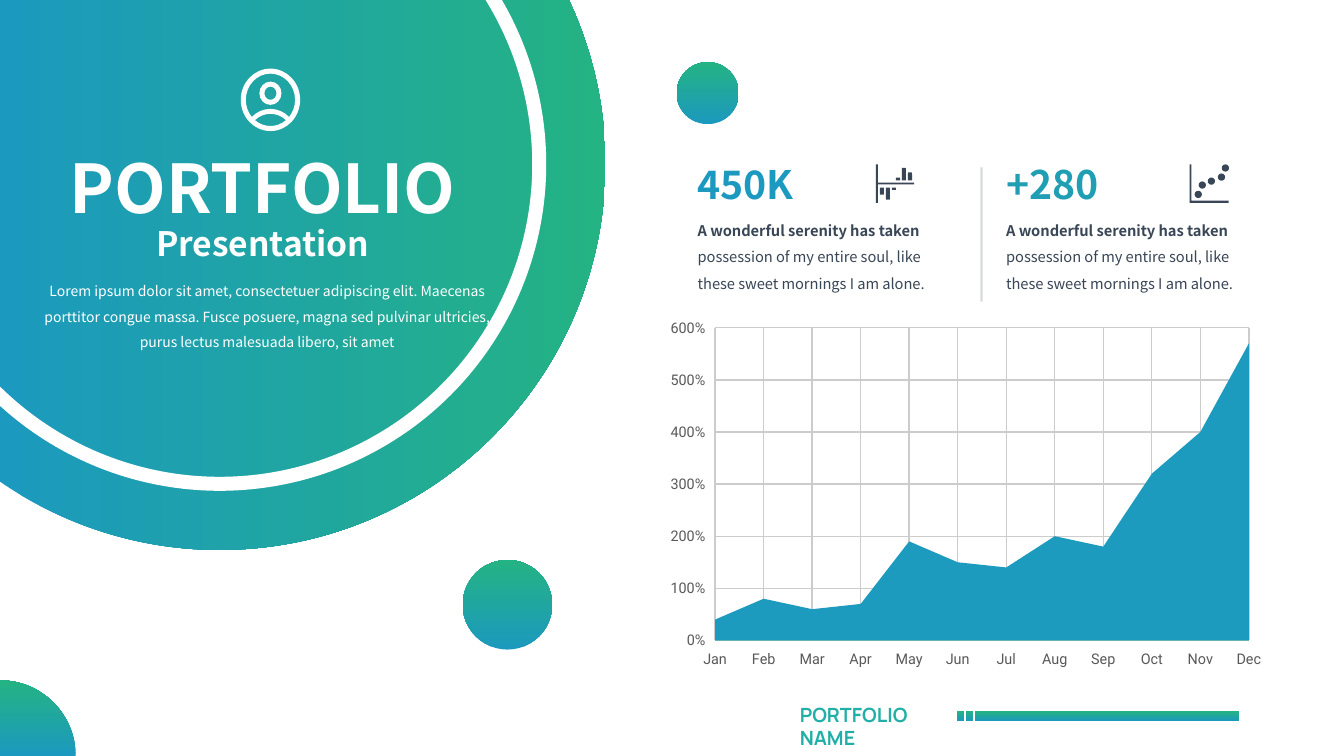
from math import ceil, cos, floor, radians, sin, tan

from lxml import etree
from pptx import Presentation
from pptx.chart.data import CategoryChartData
from pptx.dml.color import RGBColor
from pptx.enum import chart as ch, shapes as sh, text as tx
from pptx.oxml import parse_xml
from pptx.oxml.ns import nsdecls, qn
from pptx.util import Pt

SANS, BRAND_FONT, AXIS_FONT = "Noto Sans CJK KR", "Manrope", "Roboto"
WHITE, SLATE, BLUE, GREEN = "FFFFFF", "394656", "1C99BE", "24B383"
SHAPE = sh.MSO_SHAPE
UPWARD, RIGHTWARD = 90, 0
MONTHS = "Jan Feb Mar Apr May Jun Jul Aug Sep Oct Nov Dec".split()
SERIES = [
    ("Series 1", "1C9BBE", (40, 80, 60, 70, 190, 150, 140, 200, 180, 320, 400, 570)),
    ("Series 2", "24B38A", (20, 40, 20, 10, 20, 80, 60, 60, 90, 70, 180, 230)),
]


def colour(hex_value):
    return RGBColor.from_string(hex_value)


def paint(shape, fill=None, angle=None):
    """Fill with one colour, or with the blue-green gradient at an angle."""
    shape.shadow.inherit = False
    shape.line.fill.background()
    if fill:
        shape.fill.solid()
        shape.fill.fore_color.rgb = colour(fill)
    else:
        shape.fill.gradient()
        shape.fill.gradient_angle = angle
        for stop, hue in zip(shape.fill.gradient_stops, (BLUE, GREEN)):
            stop.color.rgb = colour(hue)


def add_preset(shapes, kind, box, **paint_values):
    preset = shapes.add_shape(kind, *map(Pt, box))
    paint(preset, **paint_values)
    return preset


def corners(*points):
    return [[point] for point in points]


def arc(cx, cy, rx, ry, start=0, end=360):
    """Start point, then one three-point curve for each quadrant crossed."""
    low, high = sorted((start, end))
    quadrants = [90 * q for q in range(floor(low / 90) + 1, ceil(high / 90))]
    stops = sorted([low, *quadrants, high], reverse=start > end)

    def point(angle, pull=0):
        a = radians(angle)
        return cx + rx * (cos(a) - pull * sin(a)), cy + ry * (sin(a) + pull * cos(a))

    segments = [[point(start)]]
    for a, b in zip(stops, stops[1:]):
        pull = 4 / 3 * tan(radians(b - a) / 4)
        segments.append([point(a, pull), point(b, -pull), point(b)])
    return segments


def add_outline(shapes, left, top, contours, **paint_values):
    """Draw contours of segments: one point is a line, three are a curve."""
    def place(point):
        return Pt(left + point[0]), Pt(top + point[1])

    builder = shapes.build_freeform(*place(contours[0][0][0]))
    for i, contour in enumerate(contours):
        if i:
            builder.move_to(*place(contour[0][0]))
        builder.add_line_segments([place(p) for part in contour[1:] for p in part], close=True)
    outline = builder.convert_to_shape()
    lines = iter(outline._element.findall(".//" + qn("a:lnTo")))
    for part in (part for contour in contours for part in contour[1:]):
        steps = [next(lines) for _ in part]
        if len(steps) == 3:
            steps[0].tag = qn("a:cubicBezTo")
            for step in steps[1:]:
                steps[0].append(step[0])
                step.getparent().remove(step)
    paint(outline, **paint_values)


def set_text(holder, box, runs, font, inset=(7.2, 3.6), anchor=tx.MSO_ANCHOR.TOP,
             align=tx.PP_ALIGN.LEFT, spacing=1.0):
    """Place a text holder and write one paragraph of (words, bold) runs."""
    holder.left, holder.top, holder.width, holder.height = map(Pt, box)
    frame = holder.text_frame
    across, down = map(Pt, inset)
    frame_format = dict(word_wrap=True, auto_size=tx.MSO_AUTO_SIZE.SHAPE_TO_FIT_TEXT,
                        vertical_anchor=anchor, margin_left=across, margin_right=across,
                        margin_top=down, margin_bottom=down)
    for key, value in frame_format.items():
        setattr(frame, key, value)
    paragraph = frame.paragraphs[0]
    paragraph.alignment, paragraph.line_spacing = align, spacing
    paragraph.space_before = Pt(0)
    name, size, hue = font
    for words, bold in runs:
        run = paragraph.add_run()
        run.text = words
        for key, value in dict(name=name, size=Pt(size), bold=bold).items():
            setattr(run.font, key, value)
        run.font.color.rgb = colour(hue)


def add_text(slide, box, *args, **options):
    set_text(slide.shapes.add_textbox(*map(Pt, box)), box, *args, **options)


def draw_discs(slide, height):
    shapes = slide.shapes
    add_outline(shapes, 0, 0, [corners((0, 0)) + corners((406.4, 0))
                               + arc(156.6, 117, 275.8, 275.8, -25.1, 124.6)], angle=RIGHTWARD)
    ring = add_preset(shapes, SHAPE.OVAL, (-71.3, -110.9, 456.5, 456.5), fill=WHITE)
    ring.fill.background()
    ring.line.color.rgb, ring.line.width = colour(WHITE), Pt(10)
    add_outline(shapes, 0, height, [arc(0, 0, 54, 54, -90, 0) + corners((0, 0))], angle=UPWARD)
    for left, top, size in ((330.5, 400, 64), (483.3, 44.4, 44.3)):
        add_preset(shapes, SHAPE.OVAL, (left, top, size, size), angle=UPWARD)


def draw_person_icon(slide, cx, cy):
    frame_hole = arc(0, 0, 17.6, 18.7, 139, 401) + arc(0, 24.8, 18.3, 18.3, -43.3, -136.7)
    shoulders = arc(0, 25.7, 15.7, 15.7, -133.6, -46.4) + arc(0, 0, 17.6, 18.7, 52, 128)
    add_outline(slide.shapes, cx, cy, [arc(0, 0, 21.2, 22.3), frame_hole, shoulders,
                                       arc(0, -4.7, 7.9, 8.3), arc(0, -4.7, 4.3, 4.7)],
                fill=WHITE)


def write_heading(slide, left, top, width):
    centre = dict(align=tx.PP_ALIGN.CENTER)
    title, subtitle = slide.placeholders
    set_text(title, (left + 11.3, top, 301.7, 65.5), [("PORTFOLIO", True)],
             (SANS, 48, WHITE), **centre)
    set_text(subtitle, (left + 61, top + 55, 202.3, 36), [("Presentation", True)],
             (SANS, 24, WHITE), **centre)
    for heading in (title, subtitle):
        slide.shapes._spTree.append(heading._element)  # bring in front of the disc
    add_text(slide, (left, top + 91.7, width, 59.8),
             [("Lorem ipsum dolor sit amet, consectetuer adipiscing elit. Maecenas porttitor "
               "congue massa. Fusce posuere, magna sed pulvinar ultricies, purus lectus "
               "malesuada libero, sit amet", False)],
             (SANS, 10, WHITE), inset=(0, 3.6), spacing=1.5, **centre)


def draw_bars_icon(slide, left, top):
    shapes = slide.shapes.add_group_shape().shapes
    axes = corners((0, 0), (1.4, 0), (1.4, 13), (27.4, 13), (27.4, 14.4), (1.4, 14.4),
                   (1.4, 27.6), (0, 27.6))
    add_outline(shapes, left, top, [axes], fill=SLATE)
    for start, base, rotation, heights in ((2.9, 16.6, 180, (5, 8.6, 1.7)),
                                           (14.4, 11.5, 0, (2, 9, 5.8))):
        for i, height in enumerate(heights):
            y = base if rotation else base - height
            bar = add_preset(shapes, SHAPE.ROUND_2_SAME_RECTANGLE,
                             (left + start + 4.3 * i, top + y, 2.9, height), fill=SLATE)
            bar.rotation = rotation


def draw_scatter_icon(slide, left, top):
    shapes = slide.shapes.add_group_shape().shapes
    for x, y in ((3.6, 18.9), (6.5, 12.2), (13, 9.4), (20.2, 6.5), (23, 0)):
        add_preset(shapes, SHAPE.OVAL, (left + x, top + y, 5.2, 5.2), fill=SLATE)
    axes = corners((0, 0), (1.4, 0), (1.4, 25.9), (28, 25.9), (28, 27.4), (0, 27.4))
    add_outline(shapes, left, top, [axes], fill=SLATE)


def write_statistic(slide, left, top, figure, hue, draw_icon, icon_left):
    add_text(slide, (left, top, 111.6, 33.8), [(figure, True)], (SANS, 28, hue),
             inset=(0, 0), anchor=tx.MSO_ANCHOR.BOTTOM)
    add_text(slide, (left, top + 37.7, 177.1, 54.7),
             [("A wonderful serenity has taken ", True),
              ("possession of my entire soul, like these sweet mornings I am alone.", False)],
             (SANS, 10.5, SLATE), inset=(0, 0), spacing=1.5)
    draw_icon(slide, left + icon_left, top + 2.9)


def draw_separator(slide, x, top, bottom):
    separator = slide.shapes.add_connector(sh.MSO_CONNECTOR.STRAIGHT, *map(Pt, (x, top, x, bottom)))
    separator.line.color.rgb, separator.line.width = colour(SLATE), Pt(1.5)
    hue = separator._element.spPr.find(".//" + qn("a:srgbClr"))
    etree.SubElement(hue, qn("a:alpha")).set("val", "20000")
    etree.SubElement(separator._element.spPr, qn("a:effectLst"))


def draw_growth_chart(slide, box):
    data = CategoryChartData()
    data.categories = MONTHS
    for name, _, values in SERIES:
        data.add_series(name, values)
    chart = slide.shapes.add_chart(ch.XL_CHART_TYPE.AREA, *map(Pt, box), data).chart
    chart.has_legend = chart.has_title = False
    chart.font.name, chart.font.size = BRAND_FONT, Pt(12)
    chart.plots[0].vary_by_categories = False
    for series, (_, hue, _) in zip(chart.plots[0].series, SERIES):
        series.format.fill.solid()
        series.format.fill.fore_color.rgb = colour(hue)
    for axis in (chart.category_axis, chart.value_axis):
        axis.has_major_gridlines = True
        grid = axis.major_gridlines.format.line
        grid.color.rgb, grid.width = colour("CCCCCC"), Pt(1)
        axis.format.line.fill.background()
        font = axis.tick_labels.font
        font.name, font.size, font.color.rgb = AXIS_FONT, Pt(10.5), colour("595959")
    percent = chart.value_axis
    percent.minimum_scale, percent.maximum_scale, percent.major_unit = 0, 600, 100
    percent.tick_labels.number_format = '0"%"'
    percent.tick_labels.number_format_is_linked = False
    percent._element.find(qn("c:crossBetween")).set("val", "midCat")
    layout = "".join(f'<c:{tag} val="{value}"/>' for tag, value in (
        ("layoutTarget", "inner"), ("xMode", "edge"), ("yMode", "edge"),
        ("x", 0.066), ("y", 0.125), ("w", 0.924), ("h", 0.751)))
    area = chart._chartSpace.find(".//" + qn("c:plotArea"))
    for old in area.findall(qn("c:layout")):
        area.remove(old)
    area.insert(0, parse_xml(f'<c:layout {nsdecls("c")}><c:manualLayout>{layout}'
                             "</c:manualLayout></c:layout>"))


def draw_footer(slide, left, top):
    add_text(slide, (left, top, 122.4, 24.5), [("PORTFOLIO NAME", True)],
             (BRAND_FONT, 14, "22AFA7"))
    strip = slide.shapes.add_group_shape().shapes
    for offset, width in ((119.5, 5), (125.9, 5), (132.3, 188.9)):
        add_preset(strip, SHAPE.RECTANGLE, (left + offset, top + 9.8, width, 7.2), angle=UPWARD)


def main():
    deck = Presentation()
    deck.slide_width, deck.slide_height = Pt(960), Pt(540)
    slide = deck.slides.add_slide(deck.slide_layouts[0])
    draw_discs(slide, 540)
    draw_person_icon(slide, 193.2, 71.3)
    write_heading(slide, 25.5, 100.8, 330.5)
    draw_growth_chart(slide, (479, 197, 421.9, 297.4))
    draw_footer(slide, 564.2, 498.4)
    draw_separator(slide, 701.1, 119.5, 215.5)
    write_statistic(slide, 498.4, 114.5, "450K", BLUE, draw_bars_icon, 127.2)
    write_statistic(slide, 718.7, 114.5, "+280", "209FB4", draw_scatter_icon, 131)
    deck.save("out.pptx")


if __name__ == "__main__":
    main()
